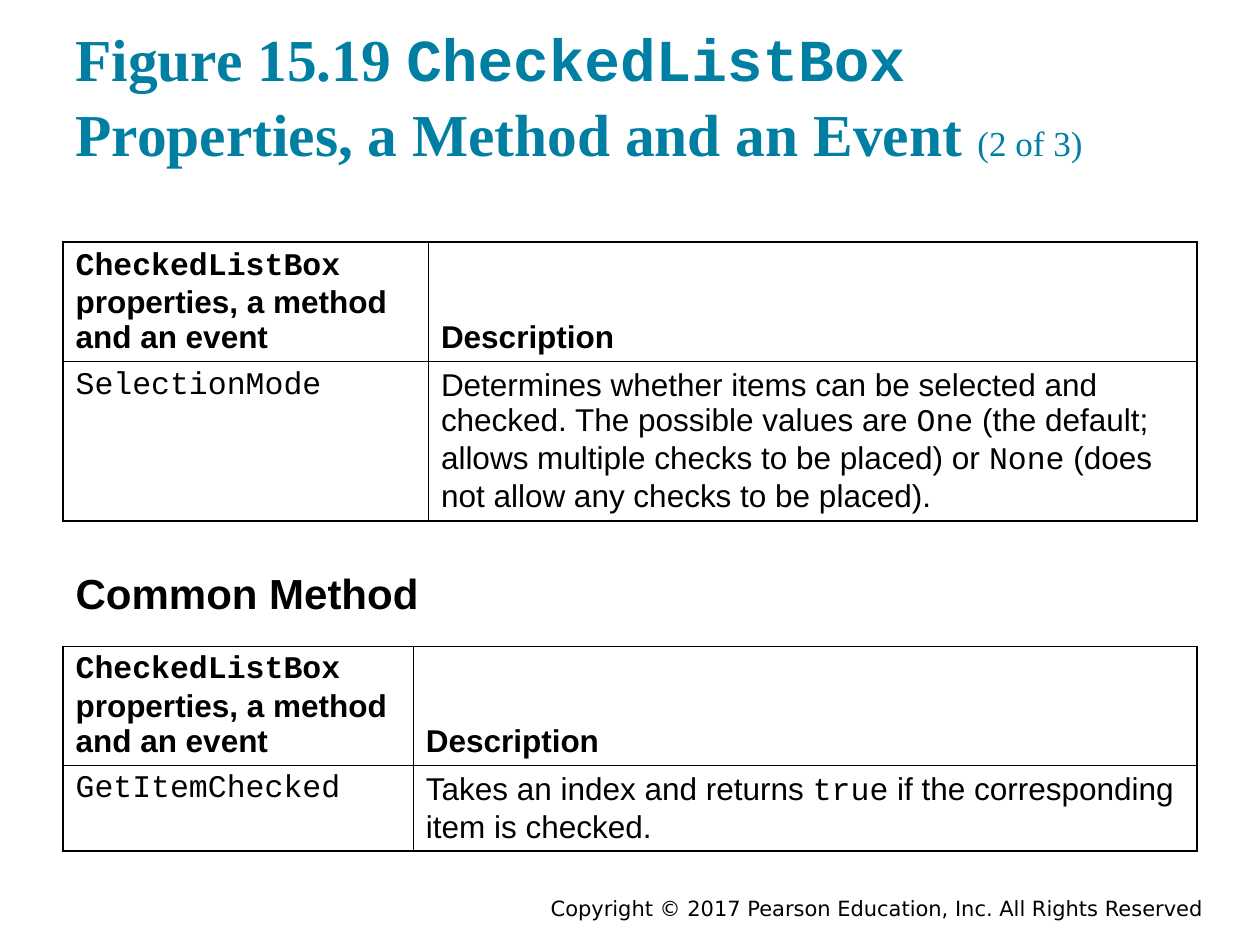
from dataclasses import dataclass

import pptx
import pptx.dml.color
import pptx.enum.text
import pptx.oxml
import pptx.oxml.ns
import pptx.util
from pptx.util import Inches

SANS, CODE, SERIF = "Arial", "Courier New", "Times New Roman"
BLACK, WHITE, TEAL = "000000", "FFFFFF", "007FA3"
ALIGN = pptx.enum.text.PP_ALIGN
ANCHOR = pptx.enum.text.MSO_ANCHOR


@dataclass
class Grid:
    top: float
    cols: tuple[float, ...]
    rows: tuple[float, ...]
    name: str
    about: tuple[str, ...]
    fill: str | None = None


GRIDS = [
    Grid(1.92, (2.9, 6.1), (0.95, 1.26), "SelectionMode",
         ("Determines whether items can be selected and checked. The possible values are ",
          "One", " (the default; allows multiple checks to be placed) or ",
          "None", " (does not allow any checks to be placed)."), WHITE),
    Grid(5.13, (2.78, 6.22), (0.94, 0.68), "GetItemChecked",
         ("Takes an index and returns ", "true", " if the corresponding item is checked.")),
]


def color(code: str) -> pptx.dml.color.RGBColor:
    return pptx.dml.color.RGBColor.from_string(code)


def write(par, text: str, *, face: str = SANS, size: float = 18,
          ink: str = BLACK, bold: bool = False) -> None:
    run = par.add_run()
    run.text = text
    run.font.name = face
    run.font.size = pptx.util.Pt(size)
    run.font.bold = bold
    run.font.color.rgb = color(ink)


def place(shape, left: float, top: float, width: float, height: float, anchor):
    shape.left, shape.top = Inches(left), Inches(top)
    shape.width, shape.height = Inches(width), Inches(height)
    frame = shape.text_frame
    frame.word_wrap = True
    frame.auto_size = pptx.enum.text.MSO_AUTO_SIZE.NONE
    frame.vertical_anchor = anchor
    frame.margin_left = frame.margin_right = Inches(0.1)
    frame.margin_top = frame.margin_bottom = Inches(0.1)
    return frame.paragraphs[0]


def border(cell) -> None:
    props = cell._tc.get_or_add_tcPr()
    for side in "LRTB":
        props.append(pptx.oxml.parse_xml(
            f'<a:ln{side} {pptx.oxml.ns.nsdecls("a")} w="12700"><a:solidFill>'
            f'<a:srgbClr val="{BLACK}"/></a:solidFill></a:ln{side}>'))


def draw(slide, grid: Grid) -> None:
    table = slide.shapes.add_table(
        len(grid.rows), len(grid.cols), Inches(0.5), Inches(grid.top),
        Inches(sum(grid.cols)), Inches(sum(grid.rows))).table
    table.first_row = table.horz_banding = False
    for col, width in zip(table.columns, grid.cols):
        col.width = Inches(width)
    for row, height in zip(table.rows, grid.rows):
        row.height = Inches(height)
    for cell in table.iter_cells():
        border(cell)
        if grid.fill:
            cell.fill.solid()
            cell.fill.fore_color.rgb = color(grid.fill)
        else:
            cell.fill.background()
    for cell in table.rows[0].cells:
        cell.vertical_anchor = ANCHOR.BOTTOM
    head, label, name, about = (
        cell.text_frame.paragraphs[0] for cell in table.iter_cells())
    write(head, "CheckedListBox ", face=CODE, bold=True)
    write(head, "properties, a method and an event", bold=True)
    write(label, "Description", bold=True)
    write(name, grid.name, face=CODE)
    for i, part in enumerate(grid.about):
        write(about, part, face=CODE if i % 2 else SANS)


def main() -> None:
    deck = pptx.Presentation()
    deck.slide_width, deck.slide_height = Inches(10), Inches(7.5)
    slide = deck.slides.add_slide(deck.slide_layouts[1])
    title, body = slide.placeholders

    par = place(title, 0.5, 0.24, 9, 1.2, ANCHOR.BOTTOM)
    par.alignment = ALIGN.LEFT
    par.line_spacing = 1.05
    write(par, "Figure 15.19 ", face=SERIF, size=34, ink=TEAL, bold=True)
    write(par, "CheckedListBox", face=CODE, size=34, ink=TEAL, bold=True)
    write(par, " Properties, a Method and an Event ",
          face=SERIF, size=34, ink=TEAL, bold=True)
    write(par, "(2 of 3)", face=SERIF, size=20, ink=TEAL)

    par = place(body, 0.5, 4.4, 9, 0.54, ANCHOR.TOP)
    props = par._p.get_or_add_pPr()
    props.set("marL", "0")
    props.set("indent", "0")
    props.append(pptx.oxml.parse_xml(f'<a:buNone {pptx.oxml.ns.nsdecls("a")}/>'))
    par.space_before = pptx.util.Pt(0)
    write(par, "Common Method", size=24, bold=True)

    for grid in GRIDS:
        draw(slide, grid)

    note = slide.shapes.add_textbox(0, 0, 0, 0)
    par = place(note, 3, 7.08, 6.65, 0.25, ANCHOR.MIDDLE)
    par.alignment = ALIGN.RIGHT
    write(par, "Copyright © 2017 Pearson Education, Inc. All Rights Reserved",
          face="DejaVu Sans", size=12)

    deck.save("out.pptx")


if __name__ == "__main__":
    main()
